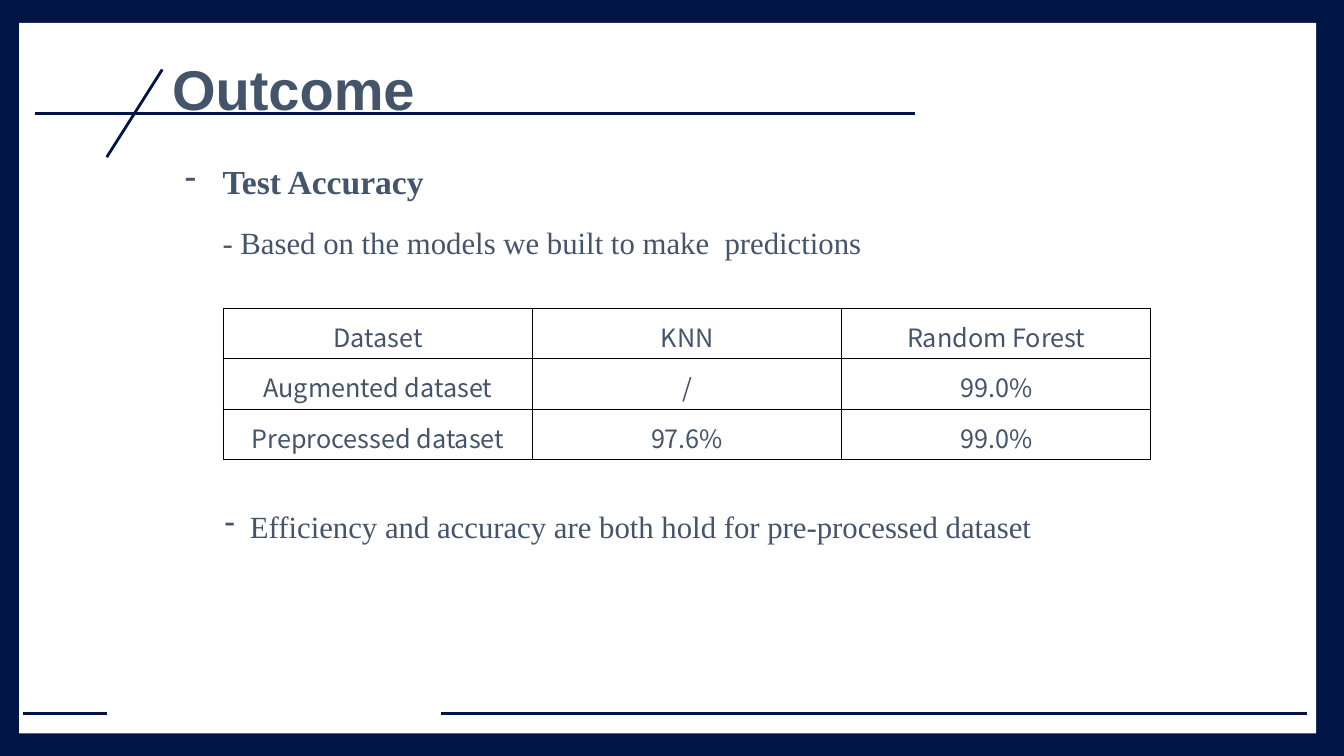
from lxml import etree
from pptx import Presentation
from pptx.dml.color import RGBColor
from pptx.enum.shapes import MSO_CONNECTOR, MSO_SHAPE
from pptx.enum.text import PP_ALIGN
from pptx.oxml.ns import qn
from pptx.util import Cm, Pt

NAVY = RGBColor(0x00, 0x15, 0x45)
SLATE = RGBColor(0x44, 0x54, 0x6A)
WHITE = RGBColor(0xFF, 0xFF, 0xFF)
LINE = MSO_CONNECTOR.STRAIGHT
RECT = MSO_SHAPE.RECTANGLE
CENTER = PP_ALIGN.CENTER
SERIF = "Times New Roman"
INSET = Cm(0.25)
SCORES = [
    ("Dataset", "KNN", "Random Forest"),
    ("Augmented dataset", "/", "99.0%"),
    ("Preprocessed dataset", "97.6%", "99.0%"),
]


def style(para, face, size, bold=False):
    """Set the font of a paragraph."""
    font = para.font
    font.name, font.size, font.bold = face, Pt(size), bold
    font.color.rgb = SLATE


def indent(para, left, hang=0):
    """Indent a paragraph, with a dash bullet where it hangs."""
    props = para._p.get_or_add_pPr()
    props.set("marL", str(Cm(left)))
    props.set("indent", str(-Cm(hang)))
    if hang:
        etree.SubElement(props, qn("a:buChar")).set("char", "-")


def add_rule(slide, x1, y1, x2, y2):
    """Draw a navy line between two points."""
    rule = slide.shapes.add_connector(LINE, x1, y1, x2, y2)
    rule.line.color.rgb = NAVY
    rule.line.width = Pt(2)
    etree.SubElement(rule._element.spPr, qn("a:effectLst"))


def add_text(slide, left, top, width, height):
    """Add a wrapping text box and return its frame."""
    frame = slide.shapes.add_textbox(left, top, width, height).text_frame
    frame.word_wrap = True
    return frame


def add_panel(slide, left, top, width, height):
    """Draw the white panel on navy with its two foot lines."""
    slide.background.fill.solid()
    slide.background.fill.fore_color.rgb = NAVY
    panel = slide.shapes.add_shape(RECT, left, top, width, height)
    panel.shadow.inherit = False
    panel.fill.solid()
    panel.fill.fore_color.rgb = WHITE
    panel.line.fill.background()
    foot = top + height - Cm(0.51)
    for start, end in ((0.1, 2.21), (10.64, 32.46)):
        add_rule(slide, left + Cm(start), foot, left + Cm(end), foot)


def add_title(slide, left, top, width, height):
    """Write the title beside its slash and above its line."""
    base = top + Cm(1.63)
    add_rule(slide, left - Cm(3.2), base, left + Cm(18.97), base)
    add_rule(slide, left - Cm(1.4), top + Cm(2.72), left, top + Cm(0.51))
    para = add_text(slide, left, top, width, height).paragraphs[0]
    para.text = "Outcome"
    style(para, "Arial", 40, True)


def add_intro(slide, left, top, width, height):
    """Write the heading and the line below it."""
    frame = add_text(slide, left, top, width, height)
    head, note = frame.paragraphs[0], frame.add_paragraph()
    head.text = "Test Accuracy"
    style(head, SERIF, 24, True)
    indent(head, 1.27, 0.95)
    note.text = "- Based on the models we built to make  predictions"
    style(note, SERIF, 22)
    indent(note, 1.27)
    note.space_before = Pt(16)


def add_border(cell):
    """Give a cell thin black edges and no fill."""
    props = cell._tc.get_or_add_tcPr()
    for side in ("lnL", "lnR", "lnT", "lnB"):
        edge = etree.SubElement(props, qn("a:" + side), w=str(Pt(0.75)))
        fill = etree.SubElement(edge, qn("a:solidFill"))
        etree.SubElement(fill, qn("a:srgbClr"), val="000000")
    cell.fill.background()


def add_scores(slide, left, top, width, height):
    """Fill the table of test scores."""
    rows, cols = len(SCORES), len(SCORES[0])
    table = slide.shapes.add_table(rows, cols, left, top, width, height).table
    table.first_row = table.horz_banding = False
    for r, record in enumerate(SCORES):
        for c, value in enumerate(record):
            cell = table.cell(r, c)
            cell.margin_left = cell.margin_right = INSET
            cell.margin_top = cell.margin_bottom = INSET
            add_border(cell)
            para = cell.text_frame.paragraphs[0]
            para.text = value
            para.alignment = CENTER
            style(para, "Noto Sans CJK KR", 18)


def add_close(slide, left, top, width, height):
    """Write the closing remark."""
    frame = add_text(slide, left, top, width, height)
    frame.margin_left = frame.margin_right = INSET
    frame.margin_top = frame.margin_bottom = INSET
    para = frame.paragraphs[0]
    para.text = "Efficiency and accuracy are both hold for pre-processed dataset"
    para.line_spacing = 1.5
    style(para, SERIF, 22)
    indent(para, 0.64, 0.64)


def main():
    """Build the slide and save it."""
    deck = Presentation()
    deck.slide_width, deck.slide_height = Cm(33.87), Cm(19.05)
    slide = deck.slides.add_slide(deck.slide_layouts[6])
    add_panel(slide, Cm(0.48), Cm(0.58), Cm(32.69), Cm(17.9))
    add_title(slide, Cm(4.09), Cm(1.24), Cm(17), Cm(1.96))
    add_intro(slide, Cm(4.09), Cm(3.94), Cm(22.3), Cm(3.66))
    add_scores(slide, Cm(5.63), Cm(7.77), Cm(23.37), Cm(3.81))
    add_close(slide, Cm(5.41), Cm(12.07), Cm(21.03), Cm(1.22))
    deck.save("out.pptx")


if __name__ == "__main__":
    main()
